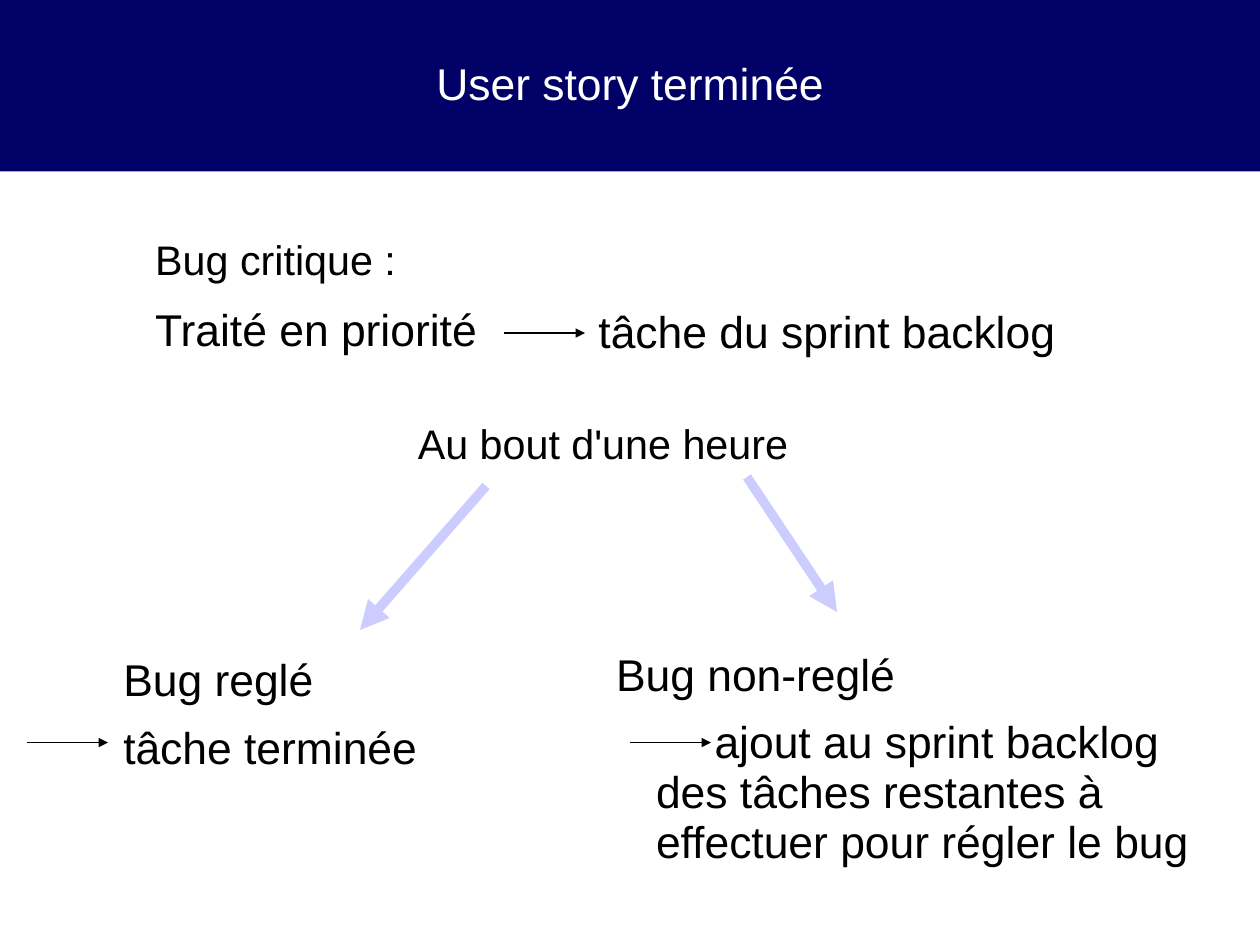
from lxml import etree
from pptx import Presentation, util as u
from pptx.dml.color import RGBColor
from pptx.enum import shapes, text
from pptx.oxml.ns import qn

FONT = "Arial"
BLACK, WHITE, NAVY, LAVENDER = "000000", "FFFFFF", "000066", "CCCCFF"
HANGING = (2.39, -0.89)
CENTRED = (1.19, -0.89)
AFTER_ARROW = (2.39, 1.3)
FLUSH = (0, 0)


def colour(value):
    return RGBColor.from_string(value)


def apply(target, values):
    for name, value in values.items():
        setattr(target, name, value)


def format_frame(frame, anchor):
    apply(frame, {
        "word_wrap": True, "auto_size": text.MSO_AUTO_SIZE.NONE,
        "vertical_anchor": anchor, "margin_left": 0, "margin_right": 0,
        "margin_top": 0, "margin_bottom": 0,
    })


def write_para(para, words, size=28, ink=BLACK, indent=FLUSH,
               line_spacing=0.93, after=11.4, align=text.PP_ALIGN.LEFT):
    apply(para, {"alignment": align, "line_spacing": line_spacing,
                 "space_before": u.Pt(0), "space_after": u.Pt(after)})
    left, first_line = indent
    properties = para._p.get_or_add_pPr()
    properties.set("marL", str(u.Cm(left)))
    properties.set("indent", str(u.Cm(first_line)))
    span = para.add_run()
    span.text = words
    apply(span.font, {"name": FONT, "size": u.Pt(size)})
    span.font.color.rgb = colour(ink)


def add_text(page, place, *paras):
    """Each para is a dict of arguments for write_para."""
    frame = page.shapes.add_textbox(*map(u.Cm, place)).text_frame
    format_frame(frame, text.MSO_ANCHOR.TOP)
    for index, values in enumerate(paras):
        para = frame.add_paragraph() if index else frame.paragraphs[0]
        write_para(para, **values)


def add_arrow(page, start, end, ink=BLACK, width=0.75):
    arrow = page.shapes.add_connector(
        shapes.MSO_CONNECTOR.STRAIGHT, *map(u.Cm, start + end))
    arrow.line.color.rgb = colour(ink)
    arrow.line.width = u.Pt(width)
    outline = arrow.line._get_or_add_ln()
    etree.SubElement(outline, qn("a:tailEnd"), type="triangle")
    etree.SubElement(arrow._element.spPr, qn("a:effectLst"))


def set_title(page, words):
    title = page.shapes.title
    apply(title, {"left": 0, "top": 0,
                  "width": u.Cm(28), "height": u.Cm(3.81)})
    title.fill.solid()
    title.fill.fore_color.rgb = colour(NAVY)
    format_frame(title.text_frame, text.MSO_ANCHOR.MIDDLE)
    write_para(title.text_frame.paragraphs[0], words, ink=WHITE, after=0,
               align=text.PP_ALIGN.CENTER)


def main():
    deck = Presentation()
    deck.slide_width, deck.slide_height = u.Cm(28), u.Cm(21)
    page = deck.slides.add_slide(deck.slide_layouts[5])
    set_title(page, "User story terminée")

    add_text(page, (1.95, 5.31, 10.5, 3.6),
             {"words": "Bug critique :", "size": 26, "after": 14.1,
              "indent": HANGING},
             {"words": "Traité en priorité", "indent": HANGING})
    add_text(page, (13.3, 6.86, 12, 1.3), {"words": "tâche du sprint backlog"})
    add_text(page, (8.33, 9.48, 9.86, 1),
             {"words": "Au bout d'une heure", "size": 26, "after": 14.1,
              "line_spacing": 0.83, "indent": CENTRED,
              "align": text.PP_ALIGN.CENTER})
    add_text(page, (1.24, 14.6, 9.1, 5.6),
             {"words": "Bug reglé", "indent": HANGING},
             {"words": "tâche terminée", "indent": HANGING})
    add_text(page, (12.19, 14.48, 14.81, 5.8),
             {"words": "Bug non-reglé", "indent": HANGING},
             {"words": "ajout au sprint backlog des tâches restantes à "
                       "effectuer pour régler le bug",
              "indent": AFTER_ARROW})

    for left, top in ((11.2, 7.4), (0.6, 16.5), (14, 16.5)):
        add_arrow(page, (left, top), (left + 1.8, top))
    for start, end in (((10.8, 10.8), (8, 14)), ((16.6, 10.6), (18.6, 13.6))):
        add_arrow(page, start, end, LAVENDER, 6)

    deck.save("out.pptx")


if __name__ == "__main__":
    main()
